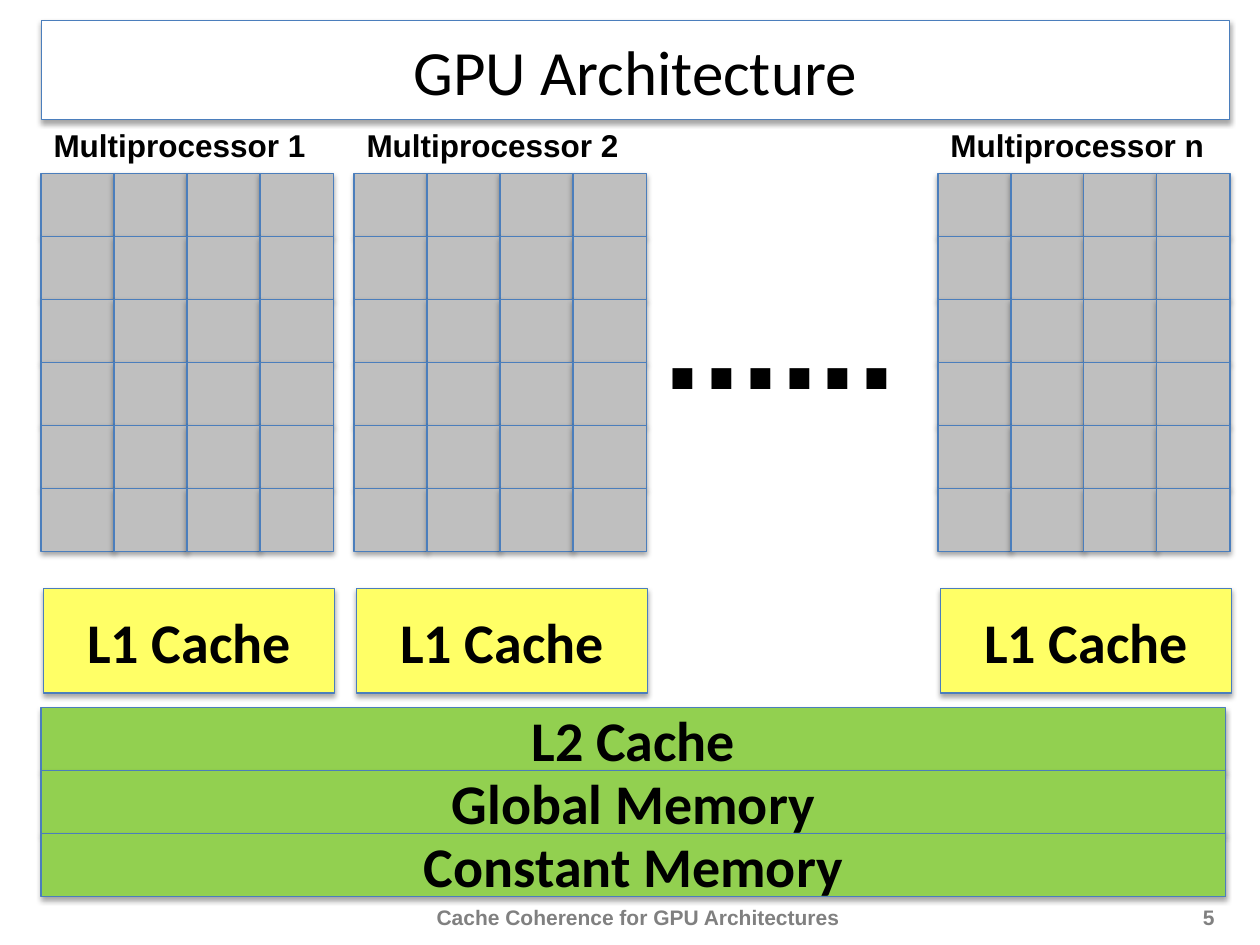
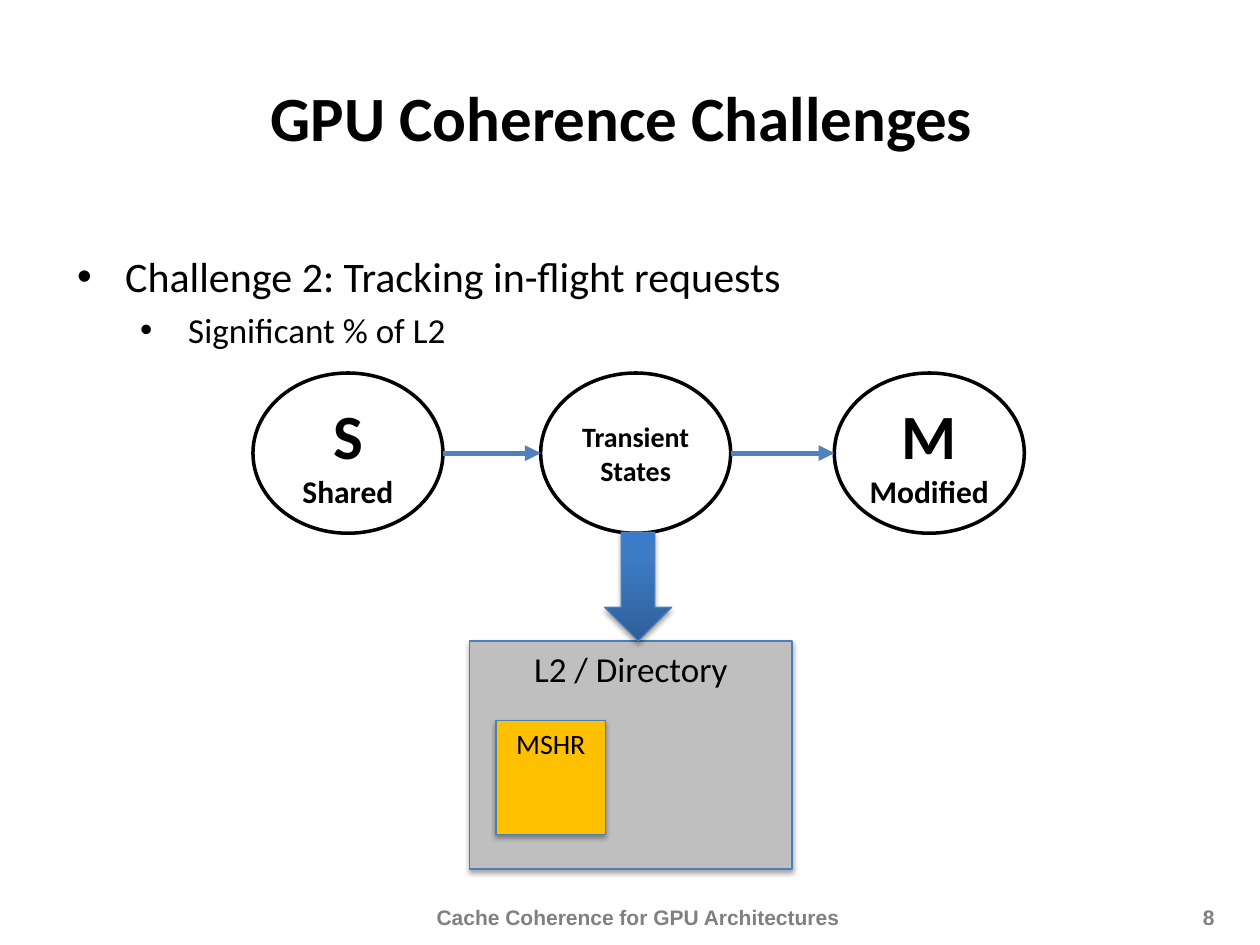
import copy
import dataclasses
import typing

import lxml.etree
import pptx
import pptx.dml.color
import pptx.enum.shapes
import pptx.enum.text
import pptx.oxml.ns
import pptx.util

Cm = pptx.util.Cm
Pt = pptx.util.Pt
RGBColor = pptx.dml.color.RGBColor
Shape = pptx.enum.shapes.MSO_SHAPE
Align = pptx.enum.text.PP_ALIGN
Anchor = pptx.enum.text.MSO_ANCHOR
qn = pptx.oxml.ns.qn

BLACK = RGBColor(0x00, 0x00, 0x00)
WHITE = RGBColor(0xFF, 0xFF, 0xFF)
FOOTER_GRAY = RGBColor(0x80, 0x80, 0x80)
CORE_GRAY = RGBColor(0xBF, 0xBF, 0xBF)
OUTLINE_BLUE = RGBColor(0x4B, 0x7E, 0xBC)
ARROW_BLUE = RGBColor(0x4F, 0x81, 0xBD)
L1_YELLOW = RGBColor(0xFF, 0xFF, 0x66)
MEMORY_GREEN = RGBColor(0x92, 0xD0, 0x50)
MSHR_ORANGE = RGBColor(0xFF, 0xC0, 0x00)
ARROW_STOPS = [
    (0, RGBColor(0x2F, 0x5F, 0x99)),
    (0.8, RGBColor(0x3D, 0x7C, 0xC7)),
    (1, RGBColor(0x3A, 0x7C, 0xCB)),
]

HEADING = {"name": "Calibri", "size": Pt(36), "bold": False}
STRONG_HEADING = {**HEADING, "bold": True}
MEMORY = {"name": "Calibri", "size": Pt(32), "bold": True}
LABEL = {"name": "Arial", "size": Pt(18), "bold": True}
FOOTER = {"name": "Arial", "size": Pt(12), "bold": True}
DOTS = {"name": "Arial", "size": Pt(80), "bold": True}
STATE_NAME = {"name": "Calibri", "size": Pt(18), "bold": True}
TRANSIENT = {"name": "Calibri", "size": Pt(16), "bold": True}
DIRECTORY = {"name": "Calibri", "size": Pt(20)}
MSHR = {"name": "Calibri", "size": Pt(16)}
CHALLENGE = {"name": "Calibri", "size": Pt(24)}
DETAIL = {"name": "Calibri", "size": Pt(20)}

LEFT = 0.83
CORE_ROWS, CORE_COLUMNS = 6, 4
CORE_WIDTH, CORE_HEIGHT = 1.48, 1.27
CORE_PITCH = 1.47
CORES_TOP = 3.5


@dataclasses.dataclass
class Area:
    """A rectangle in centimetres."""
    left: float
    top: float
    width: float
    height: float

    def lengths(self) -> list:
        return [Cm(value) for value in dataclasses.astuple(self)]


@dataclasses.dataclass
class Box:
    """A filled shape whose text lines share one paragraph."""
    area: Area
    fill: RGBColor
    lines: list = dataclasses.field(default_factory=list)
    kind: typing.Any = Shape.RECTANGLE
    line: RGBColor = OUTLINE_BLUE
    weight: float = 0.75
    shadow: bool = True
    frame: dict = dataclasses.field(
        default_factory=lambda: {"vertical_anchor": Anchor.MIDDLE})


def apply_formats(target, formats: dict) -> None:
    for name, value in formats.items():
        setattr(target, name, value)


def add_span(para, text: str, font: dict, color: RGBColor = BLACK) -> None:
    span = para.add_run()
    span.text = text
    apply_formats(span.font, font)
    span.font.color.rgb = color


def add_shadow(shape) -> None:
    shape.shadow.inherit = False
    effects = shape.element.spPr.find(qn("a:effectLst"))
    outer = lxml.etree.SubElement(
        effects, qn("a:outerShdw"), blurRad=str(Pt(3.1)), dist=str(Pt(1.8)),
        dir="5400000", rotWithShape="0")
    color = lxml.etree.SubElement(outer, qn("a:srgbClr"), val="000000")
    lxml.etree.SubElement(color, qn("a:alpha"), val="35000")


def paint(shape, fill: RGBColor, line: RGBColor = OUTLINE_BLUE,
          weight: float = 0.75, shadow: bool = True) -> None:
    shape.fill.solid()
    shape.fill.fore_color.rgb = fill
    shape.line.color.rgb = line
    shape.line.width = Pt(weight)
    if shadow:
        add_shadow(shape)
    else:
        shape.shadow.inherit = False


def add_box(page, box: Box):
    shape = page.shapes.add_shape(box.kind, *box.area.lengths())
    paint(shape, box.fill, box.line, box.weight, box.shadow)
    apply_formats(shape.text_frame, box.frame)
    para = shape.text_frame.paragraphs[0]
    para.alignment = Align.CENTER
    for number, (text, font) in enumerate(box.lines):
        if number:
            para.add_line_break()
        add_span(para, text, font)
    return shape


def add_text(page, area: Area, text: str, font: dict, color: RGBColor = BLACK,
             align=Align.LEFT, wrap: bool = True) -> None:
    frame = page.shapes.add_textbox(*area.lengths()).text_frame
    frame.word_wrap = wrap
    frame.paragraphs[0].alignment = align
    add_span(frame.paragraphs[0], text, font, color)


def place(shape, area: Area) -> None:
    names = ("left", "top", "width", "height")
    apply_formats(shape, dict(zip(names, area.lengths())))


def set_title(page, area: Area, text: str, font: dict, anchor):
    title = page.shapes.title
    place(title, area)
    apply_formats(title.text_frame, {
        "vertical_anchor": anchor, "word_wrap": True,
        "auto_size": pptx.enum.text.MSO_AUTO_SIZE.NONE})
    para = title.text_frame.paragraphs[0]
    para.alignment = Align.CENTER
    add_span(para, text, font)
    return title


def add_page(deck, layout: int, number: int):
    page = deck.slides.add_slide(deck.slide_layouts[layout])
    add_text(page, Area(7.9, 18.11, 9.93, 0.77),
             "Cache Coherence for GPU Architectures", FOOTER, FOOTER_GRAY,
             Align.CENTER)
    add_text(page, Area(24, 18.11, 1.09, 0.77), str(number), FOOTER, FOOTER_GRAY)
    return page


def add_multiprocessor(page, left: float, name: str) -> None:
    """Draw a labelled grid of cores with its L1 cache below."""
    for row in range(CORE_ROWS):
        for column in range(CORE_COLUMNS):
            add_box(page, Box(
                Area(left + column * CORE_PITCH, CORES_TOP + row * CORE_HEIGHT,
                     CORE_WIDTH, CORE_HEIGHT), CORE_GRAY))
    add_box(page, Box(Area(left + 0.05, 11.86, 5.87, 2.11), L1_YELLOW,
                      [("L1 Cache", MEMORY)]))
    add_text(page, Area(left, 2.41, 5.82, 1.02), f"Multiprocessor {name}", LABEL)


def build_architecture(deck) -> None:
    page = add_page(deck, 5, 5)
    title = set_title(page, Area(LEFT, 0.42, 23.95, 1.99), "GPU Architecture",
                      HEADING, Anchor.MIDDLE)
    paint(title, WHITE)
    for left, name in ((LEFT, "1"), (7.14, "2"), (18.91, "n")):
        add_multiprocessor(page, left, name)
    add_text(page, Area(13.13, 4.9, 5.26, 3.68), "......", DOTS, wrap=False)
    for level, name in enumerate(("L2 Cache", "Global Memory", "Constant Memory")):
        add_box(page, Box(Area(LEFT, 14.27 + level * 1.27, 23.88, 1.27),
                          MEMORY_GREEN, [(name, MEMORY)]))


def add_bullet(para, text: str, font: dict, level: int, margin: float) -> None:
    para.level = level
    add_span(para, text, font)
    properties = para._p.get_or_add_pPr()
    properties.set("marL", str(Cm(margin)))
    properties.set("indent", str(Cm(-0.97)))
    lxml.etree.SubElement(properties, qn("a:buFont"), typeface="Arial")
    lxml.etree.SubElement(properties, qn("a:buChar"), char="•")


def add_arrow(page, start: float, end: float, height: float) -> None:
    arrow = page.shapes.add_connector(
        pptx.enum.shapes.MSO_CONNECTOR.STRAIGHT,
        Cm(start), Cm(height), Cm(end), Cm(height))
    arrow.line.color.rgb = ARROW_BLUE
    arrow.line.width = Pt(3)
    lxml.etree.SubElement(arrow.line._get_or_add_ln(), qn("a:tailEnd"),
                          type="triangle")
    lxml.etree.SubElement(arrow.element.spPr, qn("a:effectLst"))


def add_down_arrow(page, area: Area) -> None:
    arrow = add_box(page, Box(area, ARROW_BLUE, kind=Shape.DOWN_ARROW))
    arrow.fill.gradient()
    arrow.fill.gradient_angle = 90
    stops = arrow.element.spPr.find(qn("a:gradFill")).find(qn("a:gsLst"))
    stops.append(copy.deepcopy(stops[-1]))
    for stop, (position, color) in zip(arrow.fill.gradient_stops, ARROW_STOPS):
        stop.position = position
        stop.color.rgb = color


def build_challenges(deck) -> None:
    page = add_page(deck, 1, 8)
    set_title(page, Area(1.27, 1.45, 22.81, 1.5), "GPU Coherence Challenges ",
              STRONG_HEADING, Anchor.TOP)
    body = page.placeholders[1]
    place(body, Area(1.3, 4.93, 22.81, 2.59))
    frame = body.text_frame
    frame.auto_size = pptx.enum.text.MSO_AUTO_SIZE.NONE
    add_bullet(frame.paragraphs[0], "Challenge 2: Tracking in-flight requests",
               CHALLENGE, 0, 0.97)
    add_bullet(frame.add_paragraph(), "Significant % of L2", DETAIL, 1, 2.24)

    top_text = {"vertical_anchor": Anchor.TOP}
    add_box(page, Box(Area(9.47, 12.92, 6.5, 4.6), CORE_GRAY,
                      [("L2 / Directory", DIRECTORY)], frame=top_text))
    add_box(page, Box(Area(10, 14.53, 2.21, 2.29), MSHR_ORANGE,
                      [("MSHR", MSHR)], frame=top_text))

    state_width, state_top, state_height = 3.83, 7.52, 3.23
    states = (
        (5.1, Anchor.TOP, [("S", STRONG_HEADING), ("Shared", STATE_NAME)]),
        (10.9, Anchor.MIDDLE, [("Transient States", TRANSIENT)]),
        (16.82, Anchor.TOP, [("M", STRONG_HEADING), ("Modified", STATE_NAME)]),
    )
    margins = dict.fromkeys(
        ("margin_left", "margin_top", "margin_right", "margin_bottom"), 0)
    for left, anchor, lines in states:
        add_box(page, Box(
            Area(left, state_top, state_width, state_height), WHITE, lines,
            Shape.OVAL, BLACK, 2, False, {**margins, "vertical_anchor": anchor}))
    for before, after in zip(states, states[1:]):
        add_arrow(page, before[0] + state_width, after[0],
                  state_top + state_height / 2)
    add_down_arrow(page, Area(12.19, 10.73, 1.35, 2.19))


def main() -> None:
    deck = pptx.Presentation()
    deck.slide_width, deck.slide_height = Cm(25.4), Cm(19.05)
    build_architecture(deck)
    build_challenges(deck)
    deck.save("out.pptx")


if __name__ == "__main__":
    main()
